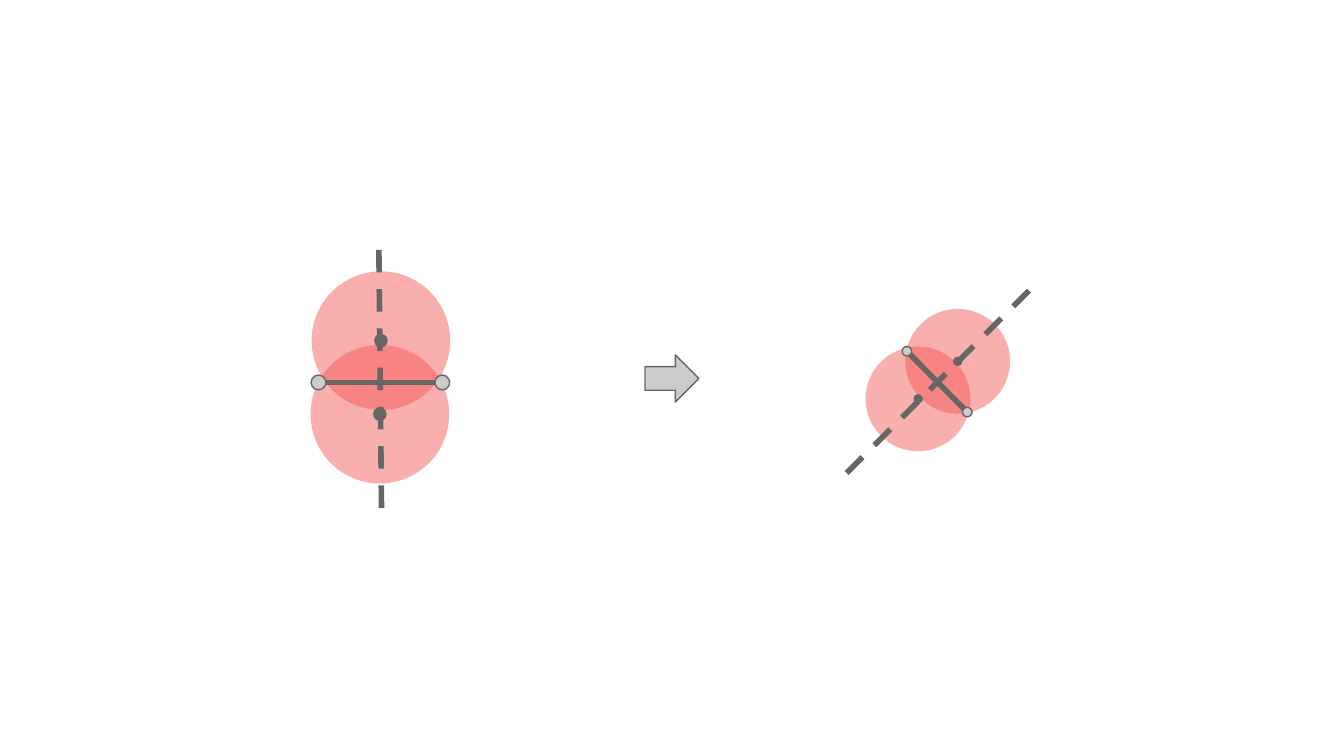
"""Build a slide showing two overlapping circles with chord and axis, before and after a turn."""
from math import hypot

from lxml import etree
from pptx import Presentation
from pptx import util as u
from pptx.dml.color import RGBColor
from pptx.enum import dml, shapes
from pptx.oxml.ns import qn

THEME = {
    "disc": "F44E4E",
    "disc_alpha": 45,
    "light": "CCCCCC",
    "dark": "666666",
    "outline": 0.75,
    "stroke": 3,
}
SLIDE_SIZE = (25.4, 14.29)
FIGURES = [
    {
        "centres": [(18.1, 6.83), (17.35, 7.54)],
        "handles": [(17.14, 6.64), (18.28, 7.79)],
        "axis": [(16, 8.94), (19.61, 5.33)],
        "disc": 1.98, "handle": 0.18, "dot": 0.15, "turn": 45,
    },
    {
        "centres": [(7.2, 6.44), (7.18, 7.83)],
        "handles": [(6.02, 7.23), (8.36, 7.23)],
        "axis": [(7.21, 9.6), (7.16, 4.7)],
        "disc": 2.62, "handle": 0.28, "dot": 0.23, "turn": 0,
    },
]
ARROW = (12.19, 6.71, 1.02, 0.89)


def add_filled(parent, kind, frame, fill, outlined=True):
    shape = parent.shapes.add_shape(kind, *map(u.Cm, frame))
    shape.shadow.inherit = False
    shape.fill.solid()
    shape.fill.fore_color.rgb = RGBColor.from_string(fill)
    if outlined:
        shape.line.color.rgb = RGBColor.from_string(THEME["dark"])
        shape.line.width = u.Pt(THEME["outline"])
    else:
        shape.line.fill.background()
    return shape


def add_circle(group, centre, size, fill, turn=0, outlined=True):
    x, y = centre
    frame = (x - size / 2, y - size / 2, size, size)
    circle = add_filled(group, shapes.MSO_SHAPE.OVAL, frame, fill, outlined)
    circle.rotation = turn
    return circle


def add_disc(group, centre, size):
    disc = add_circle(group, centre, size, THEME["disc"], outlined=False)
    colour = disc.fill._xPr.find(qn("a:solidFill"))[0]
    alpha = etree.SubElement(colour, qn("a:alpha"))
    alpha.set("val", str(THEME["disc_alpha"] * 1000))


def add_line(group, start, end, dashed=False):
    line = group.shapes.add_connector(
        shapes.MSO_CONNECTOR.STRAIGHT, *map(u.Cm, (*start, *end)))
    line.line.color.rgb = RGBColor.from_string(THEME["dark"])
    line.line.width = u.Pt(THEME["stroke"])
    if dashed:
        line.line.dash_style = dml.MSO_LINE.DASH
    etree.SubElement(line._element.spPr, qn("a:effectLst"))


def trim(start, end, gap):
    (x1, y1), (x2, y2) = start, end
    share = gap / hypot(x2 - x1, y2 - y1)
    dx, dy = (x2 - x1) * share, (y2 - y1) * share
    return (x1 + dx, y1 + dy), (x2 - dx, y2 - dy)


def add_figure(page, figure):
    group = page.shapes.add_group_shape()
    for centre in figure["centres"]:
        add_disc(group, centre, figure["disc"])
    for centre in figure["handles"]:
        add_circle(group, centre, figure["handle"], THEME["light"], figure["turn"])
    add_line(group, *trim(*figure["handles"], figure["handle"] / 2))
    add_line(group, *figure["axis"], dashed=True)
    for centre in figure["centres"]:
        add_circle(group, centre, figure["dot"], THEME["dark"], figure["turn"])


def main():
    deck = Presentation()
    deck.slide_width, deck.slide_height = map(u.Cm, SLIDE_SIZE)
    page = deck.slides.add_slide(deck.slide_layouts[6])
    for figure in FIGURES:
        add_figure(page, figure)
    add_filled(page, shapes.MSO_SHAPE.RIGHT_ARROW, ARROW, THEME["light"])
    deck.save("out.pptx")


if __name__ == "__main__":
    main()
